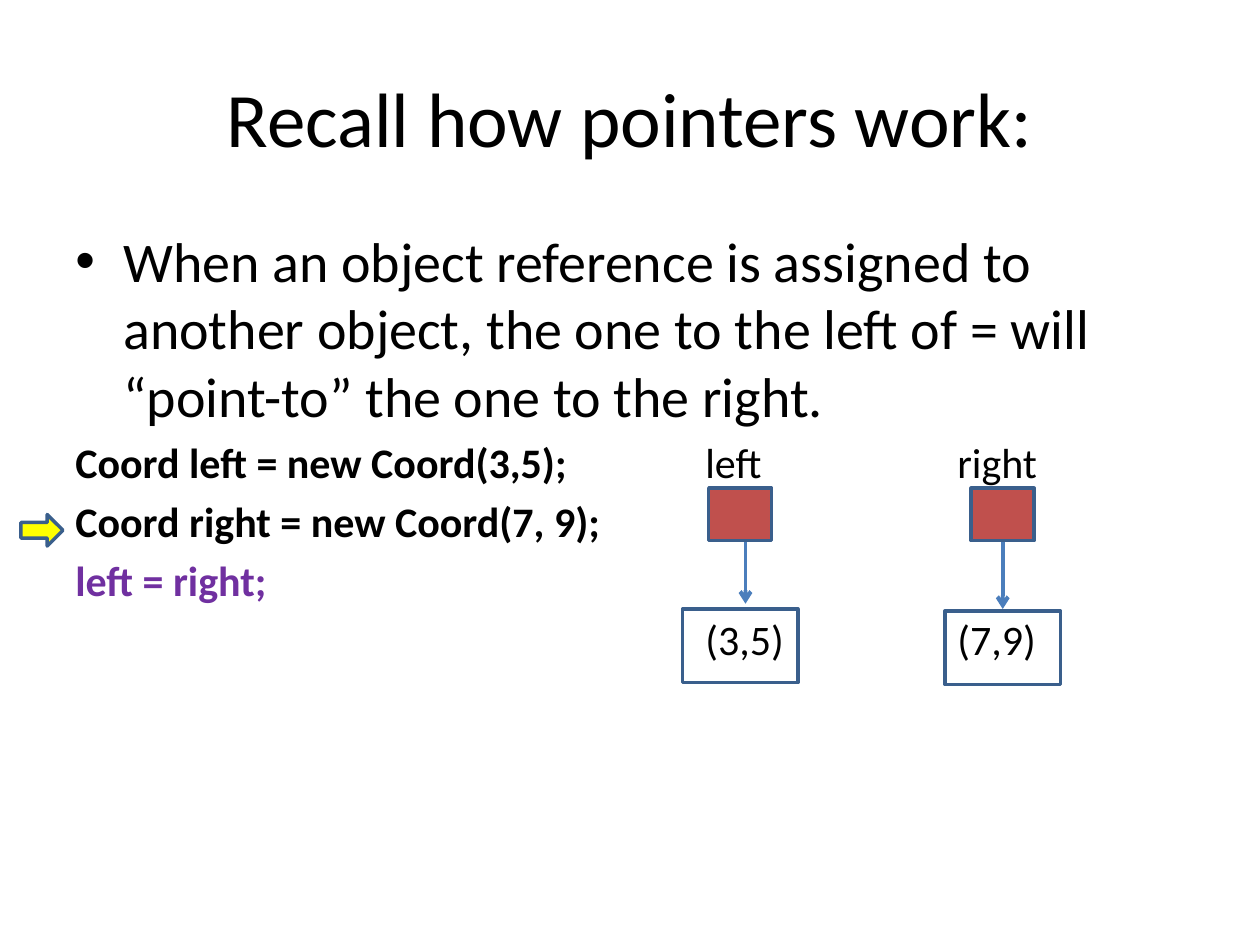
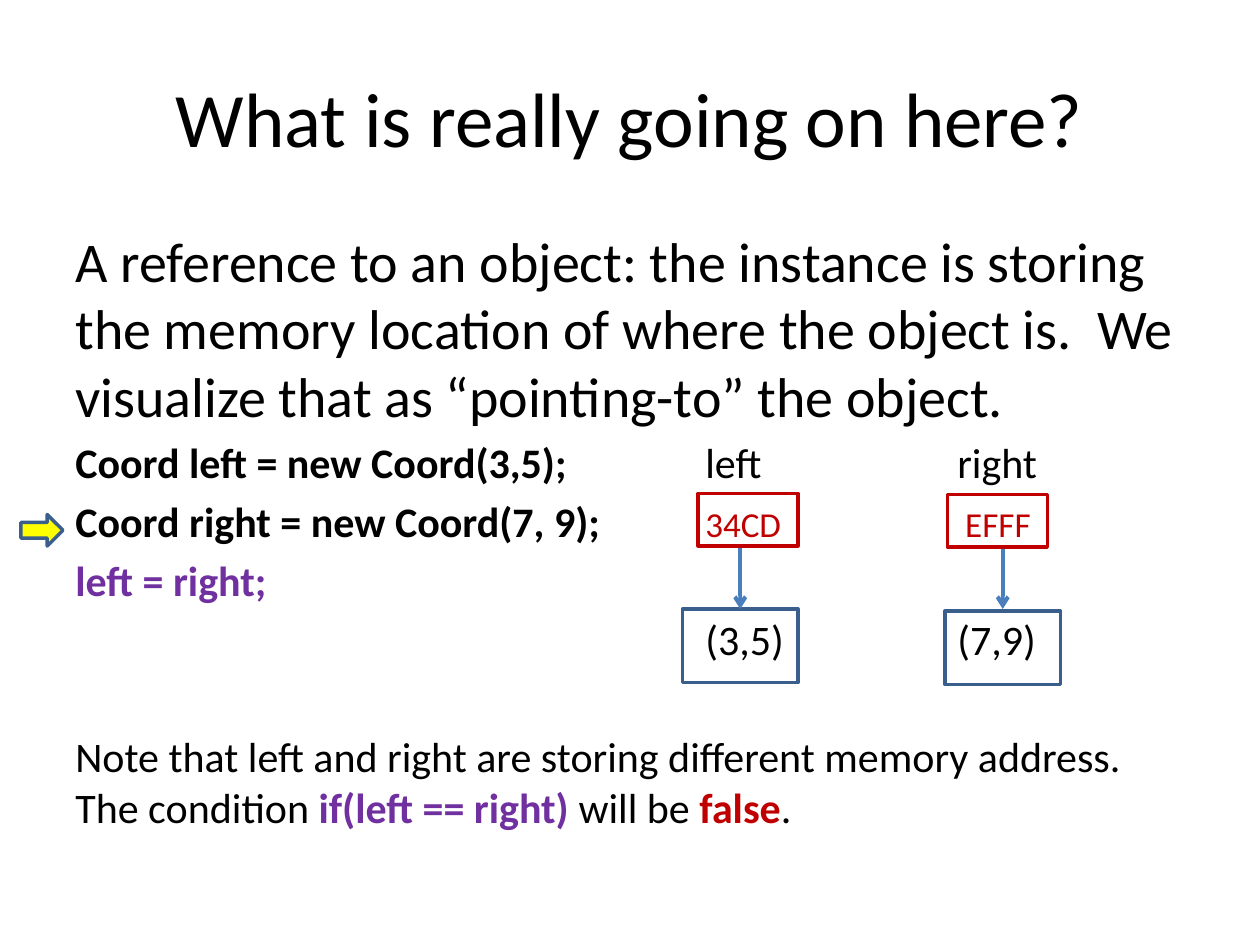
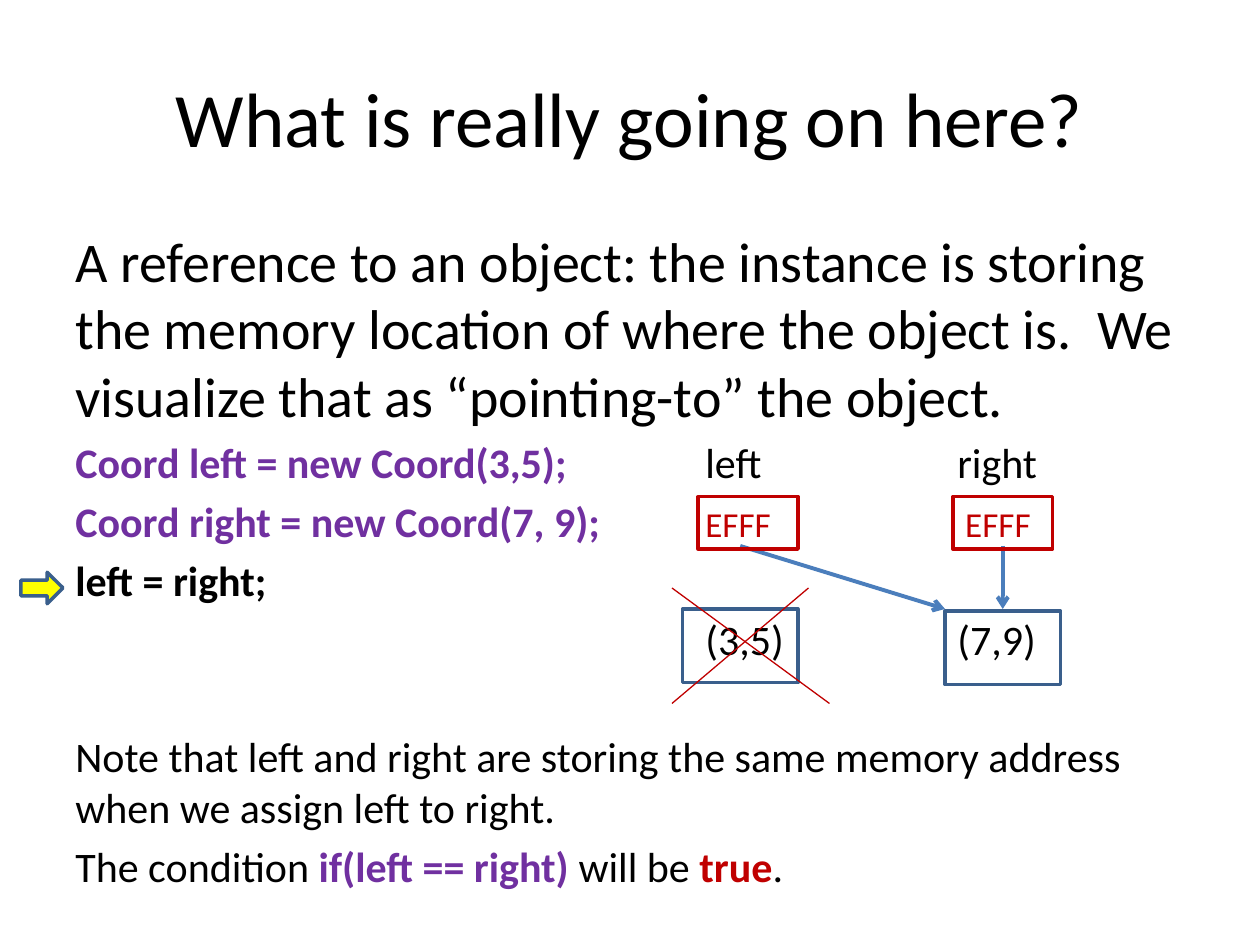
import dataclasses

import pptx
import pptx.dml.color
import pptx.enum.shapes
import pptx.enum.text
import pptx.oxml.ns
import pptx.util
from lxml import etree

SHAPES = pptx.enum.shapes.MSO_SHAPE
ALIGN = pptx.enum.text.PP_ALIGN
ANCHOR = pptx.enum.text.MSO_ANCHOR


@dataclasses.dataclass(frozen=True)
class Theme:
    font: str = "Calibri"
    black: str = "000000"
    purple: str = "7030A0"
    red: str = "C00000"
    brick: str = "C0504D"
    yellow: str = "FFFF00"
    outline: str = "3A5F8C"
    pointer: str = "4B7EBC"
    title_size: int = 44
    lead_size: int = 32
    code_size: int = 24
    address_size: int = 20
    gap_share: float = 0.2
    note_gap: float = 38.5
    border: float = 2
    pointer_width: float = 2.25
    strike_width: float = 0.75


THEME = Theme()

# The page is a grid of 120 columns by 90 rows
WIDTH, HEIGHT = pptx.util.Inches(10), pptx.util.Inches(7.5)
COLUMNS, ROWS = 120, 90

TITLE_AREA = (6, 3.6, 108, 15)
OBJECT_BOXES = ((65, 58, 11, 7), (90, 58.2, 11, 7))
CROSS = (((64, 56), (79, 67)), ((77, 56), (64, 67)))
RIGHT_CENTER = 95.5
# Columns from the text's left edge to the two variables
VARIABLE_STOPS = (60, 84)


def across(columns):
    return round(WIDTH * columns / COLUMNS)


def down(rows):
    return round(HEIGHT * rows / ROWS)


def place(area):
    left, top, width, height = area
    return across(left), down(top), across(width), down(height)


def color(value):
    return pptx.dml.color.RGBColor.from_string(value)


def child(parent, tag, **attributes):
    return etree.SubElement(parent, pptx.oxml.ns.qn(tag), attributes)


# Text

def span(text, size=THEME.code_size, ink=THEME.black, bold=False):
    return {"text": text, "size": size, "ink": ink, "bold": bold}


def add_spans(para, spans):
    for part in spans:
        run = para.add_run()
        run.text = part["text"]
        run.font.color.rgb = color(part["ink"])
        formats = {"name": THEME.font, "size": pptx.util.Pt(part["size"]), "bold": part["bold"]}
        for name, value in formats.items():
            setattr(run.font, name, value)


def add_bullet(para):
    properties = para._p.get_or_add_pPr()
    indent = pptx.util.Inches(0.38)
    properties.set("marL", str(indent))
    properties.set("indent", str(-indent))
    child(properties, "a:buFont", typeface="Arial")
    child(properties, "a:buChar", char="•")


def add_tab_stops(para):
    stops = child(para._p.get_or_add_pPr(), "a:tabLst")
    for column in VARIABLE_STOPS:
        child(stops, "a:tab", pos=str(across(column)), algn="l")


def add_text(page, area, paragraphs, anchor=ANCHOR.TOP, align=ALIGN.LEFT):
    """Each paragraph is a pair: space before in points, and its spans."""
    frame = page.shapes.add_textbox(*place(area)).text_frame
    frame.word_wrap = True
    frame.vertical_anchor = anchor
    for index, (gap, spans) in enumerate(paragraphs):
        para = frame.add_paragraph() if index else frame.paragraphs[0]
        para.alignment = align
        para.space_before = pptx.util.Pt(gap)
        if any("\t" in part["text"] for part in spans):
            add_tab_stops(para)
        add_spans(para, spans)
    return frame


# Shapes and lines

def add_shape(page, kind, area, line=THEME.outline, fill=None):
    shape = page.shapes.add_shape(kind, *place(area))
    shape.shadow.inherit = False
    if fill:
        shape.fill.solid()
        shape.fill.fore_color.rgb = color(fill)
    else:
        shape.fill.background()
    shape.line.color.rgb = color(line)
    shape.line.width = pptx.util.Pt(THEME.border)


def add_line(page, start, end, ink, width):
    line = page.shapes.add_connector(
        pptx.enum.shapes.MSO_CONNECTOR.STRAIGHT,
        across(start[0]), down(start[1]), across(end[0]), down(end[1]))
    line.line.color.rgb = color(ink)
    line.line.width = pptx.util.Pt(width)
    child(line._element.spPr, "a:effectLst")
    return line


def add_pointer(page, start, end):
    pointer = add_line(page, start, end, THEME.pointer, THEME.pointer_width)
    child(pointer.line._get_or_add_ln(), "a:tailEnd", type="arrow")


# Parts of the lesson

def add_page(deck, title):
    page = deck.slides.add_slide(deck.slide_layouts[6])
    add_text(page, TITLE_AREA, [(0, [span(title, THEME.title_size)])],
             ANCHOR.MIDDLE, ALIGN.CENTER)
    return page


def add_body(page, lead, addresses="", assigned=False, notes=(), rows=67):
    """Lead text, three code lines with tabbed variables, then notes."""
    setup, assignment = ((THEME.purple, THEME.black) if assigned
                         else (THEME.black, THEME.purple))
    second = [span("Coord right = new Coord(7, 9);", ink=setup, bold=True)]
    if addresses:
        second.append(span(addresses, THEME.address_size, THEME.red))
    code = [
        [span("Coord left = new Coord(3,5);", ink=setup, bold=True),
         span("\tleft\tright")],
        second,
        [span("left = right;", ink=assignment, bold=True)],
        [span("\t(3,5)\t(7,9)")],
    ]
    gap = THEME.code_size * THEME.gap_share
    paragraphs = [(0, [span(lead, THEME.lead_size)])]
    paragraphs += [(gap, spans) for spans in code]
    paragraphs += [(gap if index else THEME.note_gap, spans)
                   for index, spans in enumerate(notes)]
    return add_text(page, (6, 21, 108, rows), paragraphs)


def condition(opening, result):
    return [span(opening + "The condition "),
            span("if(left == right)", ink=THEME.purple, bold=True),
            span(" will be "),
            span(result, ink=THEME.red, bold=True),
            span(".")]


def add_diagram(page, marker_row, pointers, variables, line, fill=None):
    add_shape(page, SHAPES.RIGHT_ARROW, (2, marker_row, 4, 3), fill=THEME.yellow)
    for area in OBJECT_BOXES:
        add_shape(page, SHAPES.RECTANGLE, area)
    for start, end in pointers:
        add_pointer(page, start, end)
    for area in variables:
        add_shape(page, SHAPES.RECTANGLE, area, line, fill)


def main():
    deck = pptx.Presentation()
    deck.slide_width, deck.slide_height = WIDTH, HEIGHT
    question = "What is really going on here?"
    reference = ("A reference to an object: the instance is storing the memory location "
                 "of where the object is.  We visualize that as “pointing-to” the object.")
    right_pointer = ((RIGHT_CENTER, 52), (RIGHT_CENTER, 58))

    # Slide 1: variables point to objects
    page = add_page(deck, "Recall how pointers work:")
    body = add_body(page, "When an object reference is assigned to another object, the one "
                    "to the left of = will “point-to” the one to the right.", rows=59.4)
    add_bullet(body.paragraphs[0])
    add_diagram(page, 49,
                [((71, 51.5), (71, 57.5)), ((RIGHT_CENTER, 51.5), (RIGHT_CENTER, 58))],
                [(left, 46.5, 6, 5) for left in (67.5, 92.5)],
                THEME.outline, THEME.brick)

    # Slide 2: variables hold different addresses
    page = add_page(deck, question)
    add_body(page, reference, "\t34CD\t EFFF", notes=[condition(
        "Note that left and right are storing different memory address. ", "false")])
    add_diagram(page, 49, [((70.5, 52), (70.5, 58)), right_pointer],
                [(66.5, 47, 9.5, 5), (90.25, 47.1, 9.5, 5)], THEME.red)

    # Slide 3: both variables hold one address
    page = add_page(deck, question)
    add_body(page, reference, "\tEFFF\t EFFF", assigned=True, notes=[
        [span("Note that left and right are storing the same memory address "
              "when we assign left to right.")],
        condition("", "true")])
    add_diagram(page, 54.5, [((70.5, 52), (90, 58)), right_pointer],
                [(left, 47.3, 9.5, 5) for left in (66.5, 90.75)], THEME.red)
    for start, end in CROSS:
        add_line(page, start, end, THEME.red, THEME.strike_width)

    deck.save("out.pptx")


if __name__ == "__main__":
    main()
